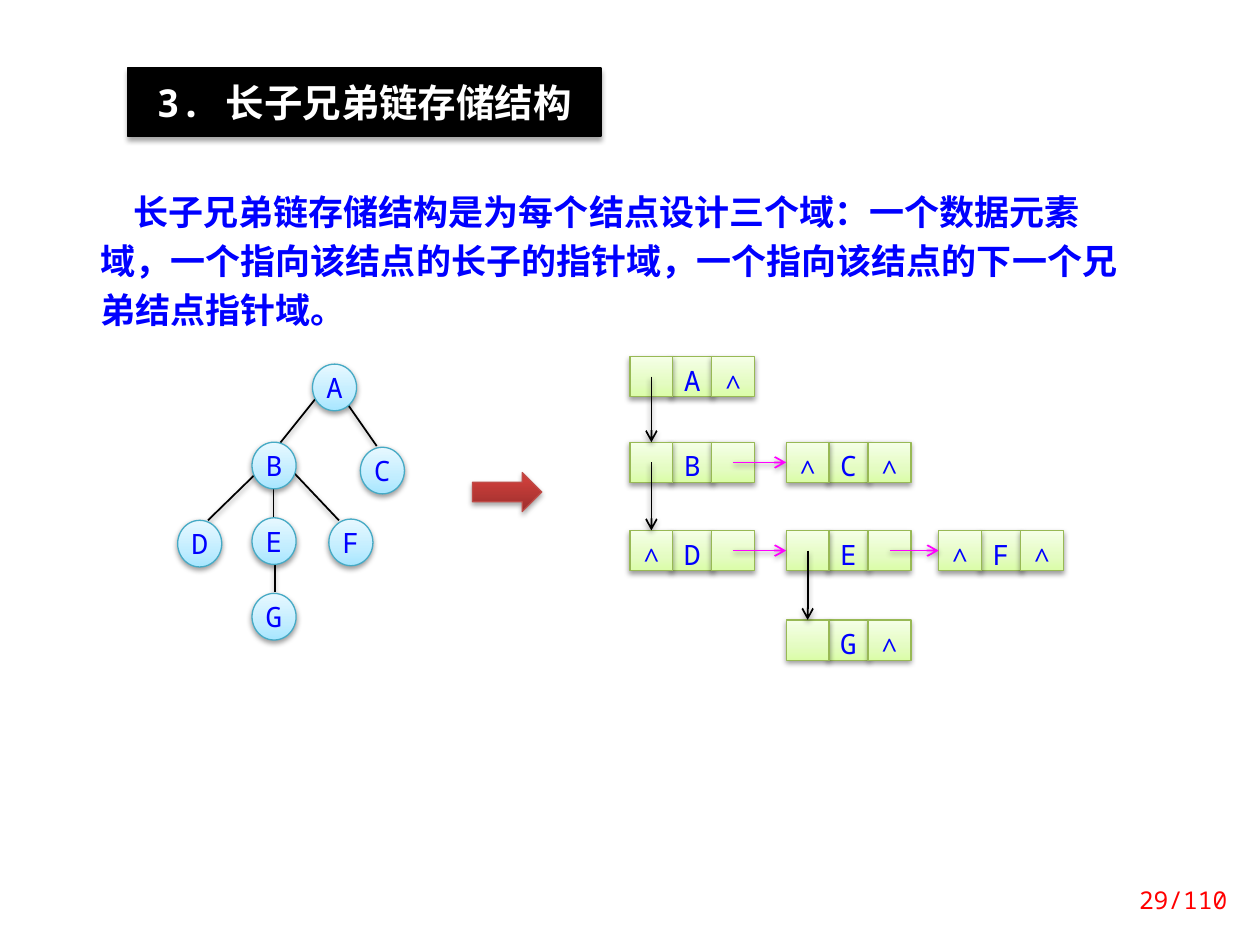
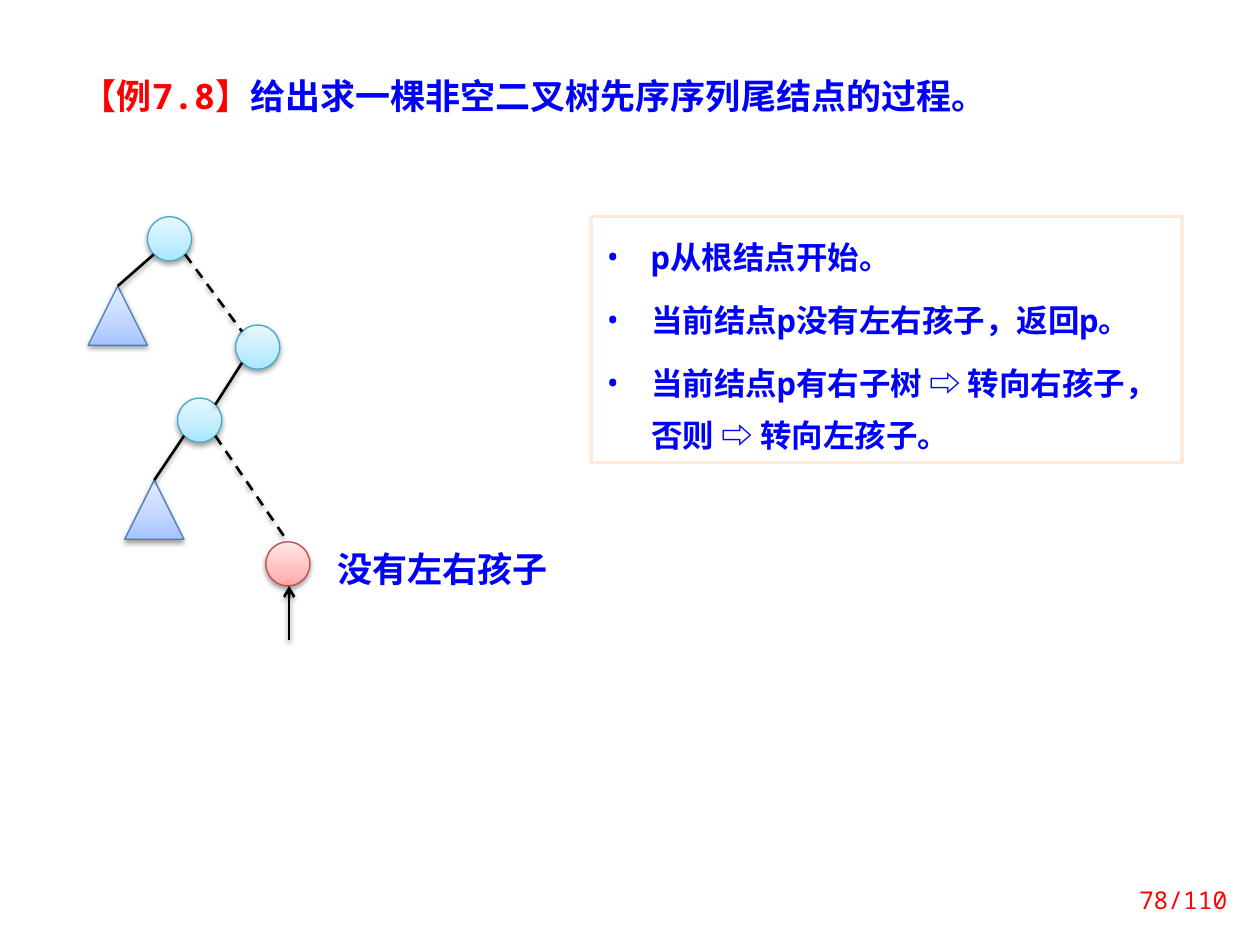
from copy import deepcopy

from lxml import etree
from pptx import Presentation
from pptx.dml.color import RGBColor
from pptx.enum import dml, shapes, text
from pptx.oxml import ns
from pptx.util import Inches, Pt

FONT = "Noto Sans Mono"
COLORS = {
    "black": "000000",
    "white": "FFFFFF",
    "blue": "0000FF",
    "red": "FF0000",
    "magenta": "FF00FF",
    "cream": "FDEADA",
}
GRADIENTS = {
    "aqua": ("46AAC5", [(0, "A7E6FF"), (0.35, "C1EDFF"), (1, "E7F8FF")]),
    "green": ("98B955", [(0, "DAFDA7"), (0.35, "E4FCC2"), (1, "F5FFE7")]),
    "indigo": ("4B7EBC", [(0, "A4C4FF"), (0.35, "BFD4FF"), (1, "E6EEFF")]),
    "pink": ("BF4C48", [(0, "FFA6A5"), (0.35, "FFC0BF"), (1, "FFE7E7")]),
    "brick": ("BF4C48", [(0, "9C2F2D"), (0.8, "CB3E3A"), (1, "CE3B37")]),
}
SHAPE = shapes.MSO_SHAPE
ALIGN = text.PP_ALIGN


def rgb(name):
    return RGBColor.from_string(COLORS[name])


def add_shadow(shape, alpha=38, distance=1.6):
    effects = shape.element.spPr.find(ns.qn("a:effectLst"))
    if effects is None:
        effects = etree.SubElement(shape.element.spPr, ns.qn("a:effectLst"))
    shadow = etree.SubElement(effects, ns.qn("a:outerShdw"), blurRad=str(Pt(3.1)),
                              dist=str(Pt(distance)), dir="5400000", rotWithShape="0")
    color = etree.SubElement(shadow, ns.qn("a:srgbClr"), val=COLORS["black"])
    etree.SubElement(color, ns.qn("a:alpha"), val=str(alpha * 1000))


def set_indent(para, first, left=0):
    properties = para._p.get_or_add_pPr()
    properties.set("marL", str(Inches(left)))
    properties.set("indent", str(Inches(first)))
    properties.set("hangingPunct", "0")
    return properties


def format_spans(para, size, color, bold=False):
    for span in para.runs:
        span.font.name = FONT
        span.font.size = Pt(size)
        span.font.bold = bold
        span.font.color.rgb = rgb(color)


def add_text(page, left, top, width, height, words, size=20, color="blue", bold=True):
    box = page.shapes.add_textbox(*map(Inches, (left, top, width, height)))
    box.text_frame.word_wrap = True
    box.text_frame.text = words
    format_spans(box.text_frame.paragraphs[0], size, color, bold)
    return box


def add_glossy(page, kind, left, top, width, height, gradient, **shadow):
    shape = page.shapes.add_shape(kind, *map(Inches, (left, top, width, height)))
    shape.shadow.inherit = False
    outline, stops = GRADIENTS[gradient]
    shape.fill.gradient()
    shape.fill.gradient_angle = 90
    stop_list = shape.element.spPr.find(".//" + ns.qn("a:gsLst"))
    stop_list.append(deepcopy(stop_list[0]))
    for stop, (position, color) in zip(shape.fill.gradient_stops, stops):
        stop.position = position
        stop.color.rgb = RGBColor.from_string(color)
    shape.line.color.rgb = RGBColor.from_string(outline)
    shape.line.width = Pt(0.75)
    add_shadow(shape, **shadow)
    return shape


def set_label(shape, words, size=16, spacing=None):
    frame = shape.text_frame
    frame.margin_left = frame.margin_right = frame.margin_top = frame.margin_bottom = 0
    frame.text = words
    para = frame.paragraphs[0]
    para.alignment = ALIGN.CENTER
    if spacing:
        para.line_spacing = Pt(spacing)
    format_spans(para, size, "blue")


def add_line(page, start, end, color="black", width=1, dashed=False, arrow=False):
    line = page.shapes.add_connector(shapes.MSO_CONNECTOR.STRAIGHT, *map(Inches, (*start, *end)))
    line.line.color.rgb = rgb(color)
    line.line.width = Pt(width)
    if dashed:
        line.line.dash_style = dml.MSO_LINE.DASH
    if arrow:
        etree.SubElement(line.line._get_or_add_ln(), ns.qn("a:tailEnd"), type="arrow")
    add_shadow(line)
    return line


def add_page(deck, number):
    page = deck.slides.add_slide(deck.slide_layouts[5])
    box = add_text(page, 8.7, 6.94, 1.14, 0.4, f"{number}/110", 14, "red", False)
    box.text_frame.vertical_anchor = text.MSO_ANCHOR.MIDDLE
    box.text_frame.paragraphs[0].alignment = ALIGN.RIGHT
    return page


def place_title(page, left, top, width, height, parts, size, align):
    title = page.shapes.title
    title.left, title.top, title.width, title.height = map(Inches, (left, top, width, height))
    frame = title.text_frame
    frame.auto_size = text.MSO_AUTO_SIZE.NONE
    frame.vertical_anchor = text.MSO_ANCHOR.MIDDLE
    para = frame.paragraphs[0]
    para.alignment = align
    for words, color in parts:
        span = para.add_run()
        span.text = words
        span.font.name = FONT
        span.font.size = Pt(size)
        span.font.bold = True
        span.font.color.rgb = rgb(color)
    return title


def draw_tree(page, left, top):
    edges = [
        ((1.09, 0.28), (0.81, 0.63)), ((1.35, 0.32), (1.58, 0.65)),
        ((0.62, 0.87), (0.24, 1.24)), ((0.93, 0.87), (1.28, 1.24)),
        ((0.76, 0.98), (0.76, 1.22)), ((0.77, 1.58), (0.77, 1.81)),
    ]
    nodes = {"A": (1.07, 0), "B": (0.59, 0.62), "C": (1.45, 0.66), "D": (0, 1.24),
             "E": (0.59, 1.22), "F": (1.2, 1.23), "G": (0.59, 1.82)}
    for edge in edges:
        add_line(page, *[(left + x, top + y) for x, y in edge])
    for name, (x, y) in nodes.items():
        node = add_glossy(page, SHAPE.OVAL, left + x, top + y, 0.35, 0.37, "aqua")
        set_label(node, name)


def draw_linked_list(page, left, top):
    width, height, pitch = 0.34, 0.32, 0.325
    columns, rows = (0, 1.24, 2.45), (0, 0.68, 1.38, 2.09)
    records = {
        "A": (0, 0, "", "∧"), "B": (0, 1, "", ""), "C": (1, 1, "∧", "∧"),
        "D": (0, 2, "∧", ""), "E": (1, 2, "", ""), "F": (2, 2, "∧", "∧"),
        "G": (1, 3, "", "∧"),
    }
    cells = {}
    for name, (column, row, child, sibling) in records.items():
        for slot, words in ((1, name), (0, child), (2, sibling)):
            x = left + columns[column] + slot * pitch
            cell = add_glossy(page, SHAPE.RECTANGLE, x, top + rows[row], width, height, "green")
            if words:
                set_label(cell, words, *((16, 23) if slot == 1 else (14, 22)))
            cells[name, slot] = cell
    links = [("A", "B", 0), ("B", "D", 0), ("E", "G", 0),
             ("B", "C", 2), ("D", "E", 2), ("E", "F", 2)]
    for source, target, slot in links:
        column, row = records[source][:2]
        start = (left + columns[column] + slot * pitch + width / 2, top + rows[row] + height / 2)
        link = add_line(page, start, start, "magenta" if slot else "black", arrow=True)
        link.end_connect(cells[target, 0], 1 if slot else 0)


def draw_preorder_path(page, left, top):
    size, triangle = 0.35, 0.47
    corner = size / 2 * 0.71
    circles = {"root": (0.47, 0), "right": (1.17, 0.86), "left": (0.71, 1.44), "last": (1.41, 2.58)}
    subtrees = [(0, 0.55), (0.29, 2.09)]
    for name, (x, y) in circles.items():
        add_glossy(page, SHAPE.OVAL, left + x, top + y, size, size,
                   "pink" if name == "last" else "aqua")
    for x, y in subtrees:
        add_glossy(page, SHAPE.ISOSCELES_TRIANGLE, left + x, top + y, triangle, triangle, "indigo")

    def rim(name, across, down):
        x, y = circles[name]
        return left + x + size / 2 + across, top + y + size / 2 + down

    apexes = [(left + x + triangle / 2, top + y) for x, y in subtrees]
    edges = [
        (rim("root", -corner, corner), apexes[0], False),
        (rim("root", corner, corner), rim("right", -corner, -corner), True),
        (rim("right", -corner, corner), rim("left", corner, -corner), False),
        (rim("left", -corner, corner), apexes[1], False),
        (rim("left", corner, corner), rim("last", 0, -size / 2), True),
    ]
    for start, end, dashed in edges:
        add_line(page, start, end, width=1.5, dashed=dashed)
    foot = rim("last", 0.01, size / 2)
    add_line(page, (foot[0], foot[1] + 0.43), foot, width=1.5, arrow=True)
    add_text(page, left + 1.88, top + 2.58, 1.95, 0.44, "没有左右孩子")


def draw_steps(page, left, top, width, height, steps):
    box = page.shapes.add_shape(SHAPE.RECTANGLE, *map(Inches, (left, top, width, height)))
    box.shadow.inherit = False
    box.fill.solid()
    box.fill.fore_color.rgb = rgb("white")
    box.line.color.rgb = rgb("cream")
    box.line.width = Pt(2)
    frame = box.text_frame
    frame.word_wrap = True
    frame.vertical_anchor = text.MSO_ANCHOR.TOP
    frame.text = "\n".join(steps)
    for index, para in enumerate(frame.paragraphs):
        properties = set_indent(para, -0.38, 0.38)
        etree.SubElement(properties, ns.qn("a:buFont"), typeface=FONT)
        etree.SubElement(properties, ns.qn("a:buChar"), char="•")
        para.alignment = ALIGN.LEFT
        para.line_spacing = Pt(30)
        if index:
            para.space_before = Pt(6)
        format_spans(para, 18, "blue", True)


def build_storage_page(deck):
    page = add_page(deck, 29)
    title = place_title(page, 1.01, 0.54, 3.76, 0.54, [("3. 长子兄弟链存储结构", "white")],
                        22, ALIGN.CENTER)
    title.fill.solid()
    title.fill.fore_color.rgb = rgb("black")
    title.line.color.rgb = rgb("black")
    title.line.width = Pt(0.75)
    add_shadow(title, alpha=35, distance=1.8)
    body = add_text(page, 0.7, 1.41, 8.44, 1.25,
                    "长子兄弟链存储结构是为每个结点设计三个域：一个数据元素域，"
                    "一个指向该结点的长子的指针域，一个指向该结点的下一个兄弟结点指针域。")
    para = body.text_frame.paragraphs[0]
    set_indent(para, 0.26)
    para.line_spacing = Pt(28)
    draw_tree(page, 1.41, 2.89)
    add_glossy(page, SHAPE.RIGHT_ARROW, 3.75, 3.75, 0.55, 0.31, "brick", alpha=35, distance=1.8)
    draw_linked_list(page, 5, 2.83)


def build_example_page(deck):
    page = add_page(deck, 78)
    place_title(page, 0.55, 0.54, 8.2, 0.44,
                [("【例7.8】", "red"), ("给出求一棵非空二叉树先序序列尾结点的过程。", "blue")],
                20, ALIGN.LEFT)
    draw_preorder_path(page, 0.7, 1.72)
    draw_steps(page, 4.69, 1.72, 4.69, 1.95, [
        "p从根结点开始。",
        "当前结点p没有左右孩子，返回p。",
        "当前结点p有右子树 ⇨ 转向右孩子，否则 ⇨ 转向左孩子。",
    ])


def main():
    deck = Presentation()
    deck.slide_width, deck.slide_height = Inches(10), Inches(7.5)
    build_storage_page(deck)
    build_example_page(deck)
    deck.save("out.pptx")


if __name__ == "__main__":
    main()
